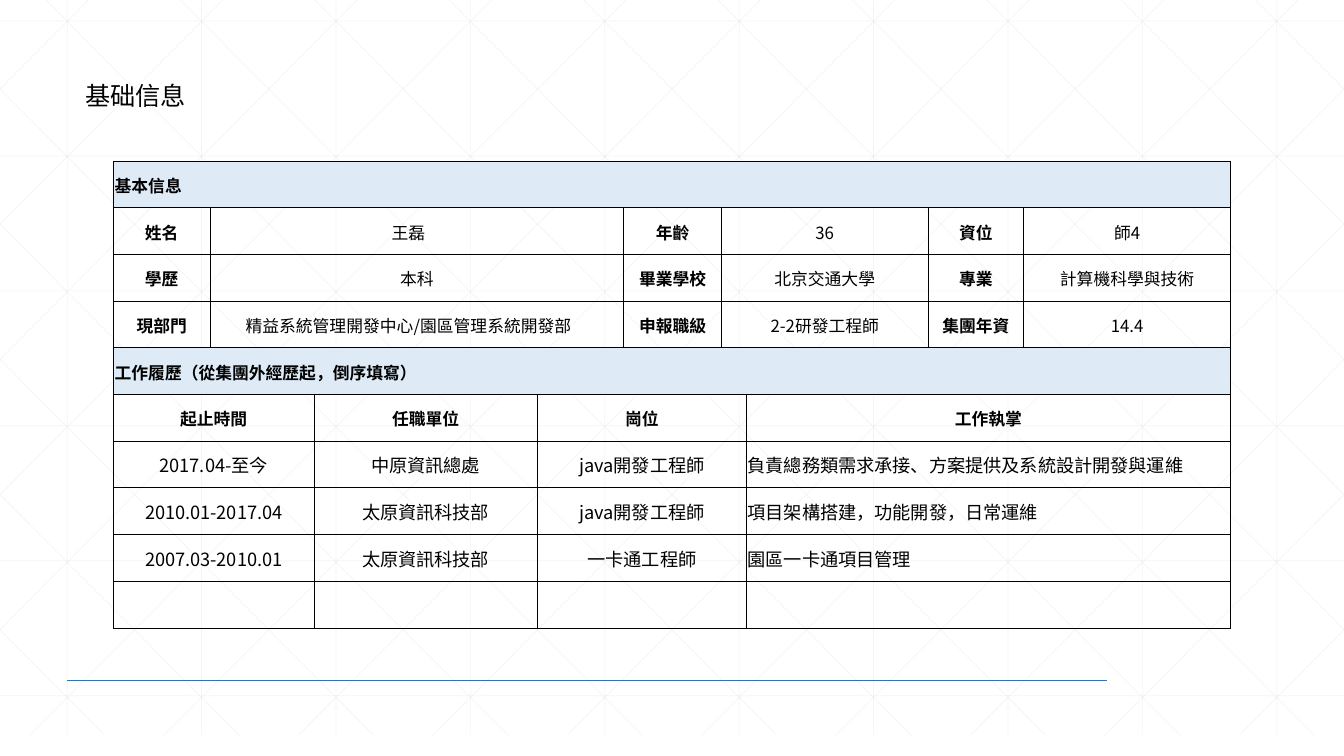
from lxml import etree
from pptx import Presentation
from pptx.dml.color import RGBColor
from pptx.enum.shapes import MSO_CONNECTOR
from pptx.enum.text import MSO_ANCHOR, MSO_AUTO_SIZE, PP_ALIGN
from pptx.oxml.ns import qn
from pptx.util import Cm, Pt

STRAIGHT = MSO_CONNECTOR.STRAIGHT
MIDDLE, TOP = MSO_ANCHOR.MIDDLE, MSO_ANCHOR.TOP
LEFT, CENTER = PP_ALIGN.LEFT, PP_ALIGN.CENTER
FONT = "Noto Sans CJK SC"
WIDTH, HEIGHT = 33.87, 19.05

deck = Presentation()
deck.slide_width, deck.slide_height = Cm(WIDTH), Cm(HEIGHT)
page = deck.slides.add_slide(deck.slide_layouts[5])


def write(frame, text, size, bold=False, align=LEFT):
    para = frame.paragraphs[0]
    para.alignment = align
    span = para.add_run()
    span.text = text
    span.font.size, span.font.bold, span.font.name = Pt(size), bold, FONT
    span.font.color.rgb = RGBColor.from_string("000000")
    etree.SubElement(span.font._element, qn("a:ea"), typeface=FONT)


def draw_line(x1, y1, x2, y2, color="D9D9D9", weight=0.5, opacity=25):
    line = page.shapes.add_connector(STRAIGHT, Cm(x1), Cm(y1), Cm(x2), Cm(y2))
    line.line.width = Pt(weight)
    line.line.color.rgb = RGBColor.from_string(color)
    properties = line._element.spPr
    if opacity < 100:
        tint = properties.find(".//" + qn("a:srgbClr"))
        etree.SubElement(tint, qn("a:alpha"), val=str(opacity * 1000))
    etree.SubElement(properties, qn("a:effectLst"))


# Background lattice: verticals, horizontals and mirrored diagonals
STEP = WIDTH / 10
GRID_TOP, GRID_BOTTOM = -0.53, 18.52
SLOPE = (GRID_BOTTOM - GRID_TOP) / 18.94
for column in range(10):
    x = STEP * (column + 0.5)
    draw_line(x, GRID_TOP, x, GRID_BOTTOM)
for row in range(6):
    y = 0.53 + 3.4 * row
    draw_line(0, y, WIDTH, y)
for column in range(-5, 10):
    start = 0.63 + STEP * column
    x1, x2 = max(start, 0), min(start + 18.94, WIDTH)
    y1, y2 = (GRID_TOP + (x - start) * SLOPE for x in (x1, x2))
    draw_line(x1, y1, x2, y2)
    draw_line(WIDTH - x1, y1, WIDTH - x2, y2)
draw_line(1.69, 17.14, 27.89, 17.14, color="2E75B6", weight=1, opacity=100)

title = page.shapes.title
title.left, title.top, title.width, title.height = Cm(1.9), Cm(1.9), Cm(5.5), Cm(1.04)
frame = title.text_frame
frame.auto_size, frame.vertical_anchor = MSO_AUTO_SIZE.NONE, TOP
frame.margin_left = frame.margin_right = Cm(0.25)
frame.margin_top = frame.margin_bottom = Cm(0.13)
write(frame, "基础信息", 18)

# Each row: kind and its texts; each kind: column spans, size, bold and centred columns
KINDS = {
    "banner": ([9], 12, [True], [False]),
    "profile": ([1, 3, 1, 2, 1, 1], 12, [True, False] * 3, [True] * 6),
    "heading": ([2, 1, 3, 3], 12, [True] * 4, [True] * 4),
    "history": ([2, 1, 3, 3], 13, [False] * 4, [True] * 3 + [False]),
}
ROWS = [
    ("banner", ["基本信息"]),
    ("profile", ["姓名", "王磊　", "年齡", "36", "資位", "師4"]),
    ("profile", ["學歷", "本科", "畢業學校", "北京交通大學", "專業", "計算機科學與技術"]),
    ("profile", ["現部門", "精益系統管理開發中心/園區管理系統開發部　", "申報職級",
                 "2-2研發工程師", "集團年資", "14.4"]),
    ("banner", ["工作履歷（從集團外經歷起，倒序填寫）"]),
    ("heading", ["起止時間", "任職單位", "崗位", "工作執掌"]),
    ("history", ["2017.04-至今", "中原資訊總處", "java開發工程師",
                 "負責總務類需求承接、方案提供及系統設計開發與運維"]),
    ("history", ["2010.01-2017.04", "太原資訊科技部", "java開發工程師",
                 "項目架構搭建，功能開發，日常運維"]),
    ("history", ["2007.03-2010.01", "太原資訊科技部", "一卡通工程師", "園區一卡通項目管理"]),
    ("history", [""] * 4),
]
COLUMNS = [2.43, 2.62, 5.63, 2.18, 2.46, 0.63, 4.58, 2.41, 5.21]

table = page.shapes.add_table(len(ROWS), len(COLUMNS), Cm(2.86), Cm(4.06),
                              Cm(sum(COLUMNS)), Cm(11.76)).table
table.first_row = table.horz_banding = False
for column, width in zip(table.columns, COLUMNS):
    column.width = Cm(width)

for row, (kind, texts) in enumerate(ROWS):
    for cell in table.rows[row].cells:
        properties = cell._tc.get_or_add_tcPr()
        for side in ("a:lnL", "a:lnR", "a:lnT", "a:lnB"):
            border = etree.SubElement(properties, qn(side), w=str(Pt(0.5)))
            paint = etree.SubElement(border, qn("a:solidFill"))
            etree.SubElement(paint, qn("a:srgbClr"), val="000000")
        if kind == "banner":
            cell.fill.solid()
            cell.fill.fore_color.rgb = RGBColor.from_string("DEEBF7")
        else:
            cell.fill.background()
        cell.vertical_anchor = MIDDLE
        cell.margin_left = cell.margin_right = cell.margin_top = Cm(0.03)
        cell.margin_bottom = 0
    spans, size, bolds, centred = KINDS[kind]
    first = 0
    for text, width, bold, middle in zip(texts, spans, bolds, centred):
        cell = table.cell(row, first)
        if width > 1:
            cell.merge(table.cell(row, first + width - 1))
        if text:
            write(cell.text_frame, text, size, bold, CENTER if middle else LEFT)
        first += width

deck.save("out.pptx")
